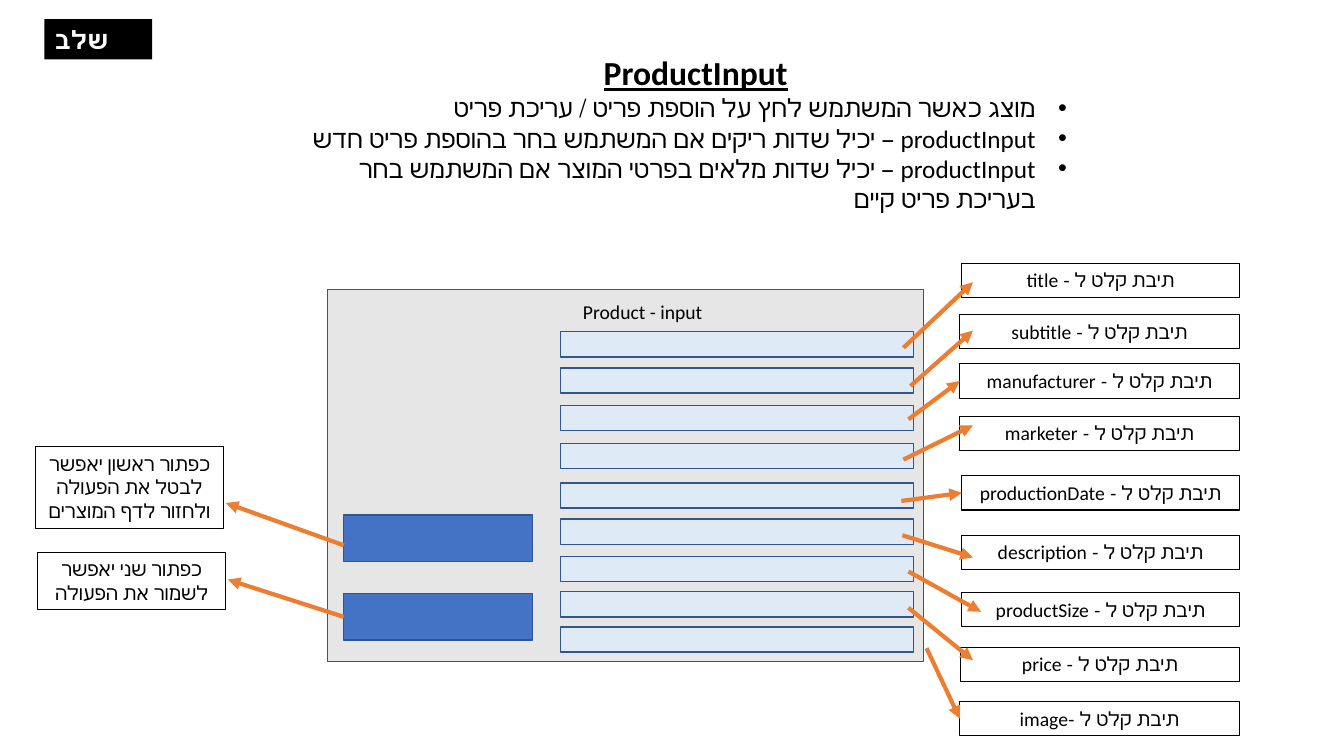
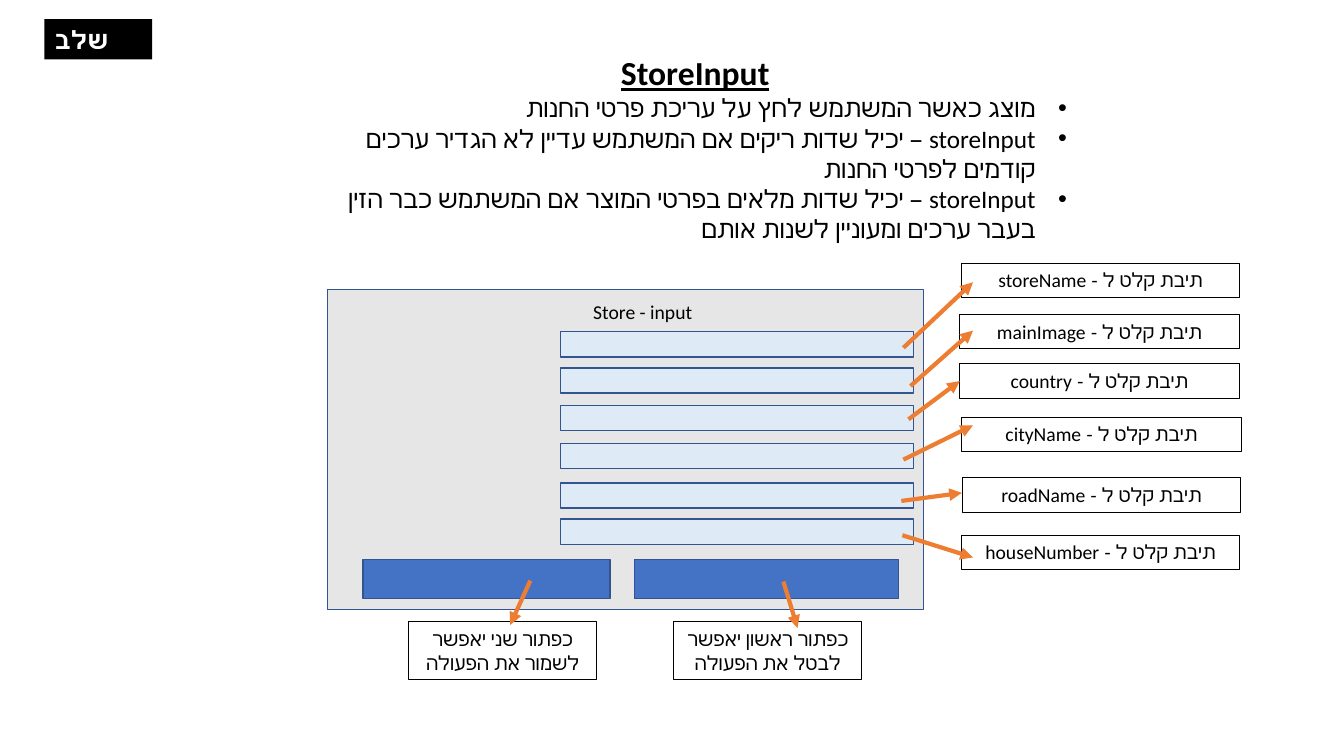
from lxml.etree import SubElement
from pptx import Presentation
from pptx.dml.color import RGBColor
from pptx.enum.shapes import MSO_CONNECTOR, MSO_SHAPE
from pptx.enum.text import MSO_ANCHOR, MSO_AUTO_SIZE, PP_ALIGN
from pptx.oxml.ns import qn
from pptx.util import Inches, Pt

# Shared look and wording
FONT = "Calibri"
STEP = "שלב"
BLACK = RGBColor(0x00, 0x00, 0x00)
WHITE = RGBColor(0xFF, 0xFF, 0xFF)
PANEL_GREY = RGBColor(0xE7, 0xE6, 0xE6)
FIELD_BLUE = RGBColor(0xDE, 0xEB, 0xF7)
BUTTON_BLUE = RGBColor(0x44, 0x72, 0xC4)
OUTLINE_BLUE = RGBColor(0x32, 0x54, 0x91)
ARROW_ORANGE = RGBColor(0xED, 0x7D, 0x31)

# Form rows: field top, label (left, top, width), arrow start, arrow tip
ROWS = [
    (3.29, (9.54, 2.61, 2.75), (8.96, 3.45), (9.65, 2.80)),
    (3.65, (9.52, 3.12, 2.77), (9.03, 3.83), (9.65, 3.28)),
    (4.02, (9.52, 3.61, 2.77), (9.01, 4.16), (9.52, 3.78)),
    (4.40, (9.52, 4.13, 2.77), (8.96, 4.56), (9.65, 4.22)),
    (4.79, (9.54, 4.72, 2.75), (8.94, 4.97), (9.54, 4.89)),
    (5.15, (9.54, 5.31, 2.75), (8.95, 5.31), (9.65, 5.53)),
    (5.52, (9.54, 5.88, 2.75), (9.01, 5.67), (9.73, 6.07)),
    (5.87, (9.53, 6.42, 2.76), (9.01, 6.03), (9.65, 6.55)),
    (6.22, (9.52, 6.96, 2.77), (9.19, 6.43), (9.52, 7.13)),
]

# Buttons: button box, note box, note text, arrow start, arrow tip
PRODUCT = {
    "title": "ProductInput",
    "title_box": (5.88, 0.47, 2.04, 0.5),
    "points_height": 1.31,
    "points": [
        "מוצג כאשר המשתמש לחץ על הוספת פריט / עריכת פריט",
        "productInput – יכיל שדות ריקים אם המשתמש בחר בהוספת פריט חדש",
        "productInput – יכיל שדות מלאים בפרטי המוצר אם המשתמש בחר בעריכת פריט קיים",
    ],
    "caption": "Product - input",
    "panel_height": 3.69,
    "fields": ["- title", "- subtitle", "- manufacturer", "- marketer",
               "- productionDate", "- description", "- productSize",
               "- price", "-image"],
    "label_shifts": {},
    "buttons": [
        ((3.41, 5.11, 1.87, 0.46), (0.35, 4.43, 1.87, 0.81),
         "כפתור ראשון יאפשר לבטל את הפעולה ולחזור לדף המוצרים",
         (3.41, 5.41), (2.24, 4.99)),
        ((3.41, 5.89, 1.87, 0.46), (0.37, 5.48, 1.87, 0.57),
         "כפתור שני יאפשר לשמור את הפעולה",
         (3.41, 6.12), (2.26, 5.75)),
    ],
}
STORE = {
    "title": "StoreInput",
    "title_box": (6.05, 0.47, 1.69, 0.5),
    "points_height": 1.62,
    "points": [
        "מוצג כאשר המשתמש לחץ על עריכת פרטי החנות",
        "storeInput – יכיל שדות ריקים אם המשתמש עדיין לא הגדיר ערכים קודמים לפרטי החנות",
        "storeInput – יכיל שדות מלאים בפרטי המוצר אם המשתמש כבר הזין בעבר ערכים ומעוניין לשנות אותם",
    ],
    "caption": "Store - input",
    "panel_height": 3.18,
    "fields": ["- storeName", "- mainImage", "- country", "- cityName",
               "- roadName", "- houseNumber"],
    "label_shifts": {3: (0.02, 0.01), 4: (0.01, 0.02)},
    "buttons": [
        ((6.29, 5.55, 2.62, 0.39), (6.68, 6.17, 1.87, 0.57),
         "כפתור ראשון יאפשר לבטל את הפעולה",
         (7.77, 5.77), (7.91, 6.23)),
        ((3.6, 5.55, 2.45, 0.39), (4.05, 6.17, 1.87, 0.57),
         "כפתור שני יאפשר לשמור את הפעולה",
         (5.26, 5.76), (5.06, 6.2)),
    ],
}


def inches(values):
    return [Inches(value) for value in values]


def add_block(slide, box, fill):
    block = slide.shapes.add_shape(MSO_SHAPE.RECTANGLE, *inches(box))
    block.shadow.inherit = False
    block.fill.solid()
    block.fill.fore_color.rgb = fill
    block.line.color.rgb = OUTLINE_BLUE
    block.line.width = Pt(1)


def add_text(slide, box, lines, size=14, color=BLACK, bold=False,
             align=PP_ALIGN.CENTER, rtl=True, wrap=True, bullets=False):
    area = slide.shapes.add_textbox(*inches(box))
    frame = area.text_frame
    frame.word_wrap = wrap
    frame.auto_size = MSO_AUTO_SIZE.SHAPE_TO_FIT_TEXT
    frame.vertical_anchor = MSO_ANCHOR.TOP
    for index, line in enumerate(lines):
        paragraph = frame.add_paragraph() if index else frame.paragraphs[0]
        paragraph.alignment = align
        props = paragraph._p.get_or_add_pPr()
        if rtl:
            props.set("rtl", "1")
        if bullets:
            props.set("marL", str(Inches(0.31)))
            props.set("indent", str(-Inches(0.31)))
            SubElement(props, qn("a:buFont")).set("typeface", "Arial")
            SubElement(props, qn("a:buChar")).set("char", "•")
        run = paragraph.add_run()
        run.text = line
        run.font.name = FONT
        run.font.size = Pt(size)
        run.font.bold = bold
        run.font.color.rgb = color
    return area


def add_note(slide, box, text):
    note = add_text(slide, box, [text])
    note.line.color.rgb = BLACK
    note.line.width = Pt(0.75)


def add_arrow(slide, start, tip):
    arrow = slide.shapes.add_connector(MSO_CONNECTOR.STRAIGHT,
                                       *inches(start + tip))
    arrow.line.color.rgb = ARROW_ORANGE
    arrow.line.width = Pt(3)
    props = arrow._element.spPr
    SubElement(props.find(qn("a:ln")), qn("a:tailEnd")).set("type", "triangle")
    SubElement(props, qn("a:effectLst"))


def add_heading(slide, form):
    badge = add_text(slide, (0.44, 0.19, 1.07, 0.4), [STEP], size=18,
                     color=WHITE, bold=True, align=PP_ALIGN.LEFT, rtl=False)
    badge.fill.solid()
    badge.fill.fore_color.rgb = BLACK
    add_text(slide, (2.83, 0.87, 7.85, form["points_height"]), form["points"],
             size=18, align=PP_ALIGN.RIGHT, bullets=True)
    title = add_text(slide, form["title_box"], [form["title"]], size=24,
                     bold=True, wrap=False)
    title.text_frame.paragraphs[0].runs[0].font.underline = True


def add_form(slide, form):
    # Panel with its caption
    add_block(slide, (3.25, 2.87, 5.91, form["panel_height"]), PANEL_GREY)
    add_text(slide, (5.44, 2.93, 1.87, 0.34), [form["caption"]])

    # Input fields, each with a label and an arrow
    for index, (field, row) in enumerate(zip(form["fields"], ROWS)):
        field_top, (left, top, width), start, tip = row
        shift_x, shift_y = form["label_shifts"].get(index, (0, 0))
        add_block(slide, (5.56, field_top, 3.5, 0.25), FIELD_BLUE)
        add_note(slide, (left + shift_x, top + shift_y, width, 0.34),
                 "תיבת קלט ל " + field)
        add_arrow(slide, start, tip)

    # Buttons, each with a note and an arrow
    for button_box, note_box, text, start, tip in form["buttons"]:
        add_block(slide, button_box, BUTTON_BLUE)
        add_note(slide, note_box, text)
        add_arrow(slide, start, tip)


def main():
    deck = Presentation()
    deck.slide_width, deck.slide_height = Inches(13.33), Inches(7.5)
    for form in (PRODUCT, STORE):
        slide = deck.slides.add_slide(deck.slide_layouts[6])
        add_heading(slide, form)
        add_form(slide, form)
    deck.save("out.pptx")


main()
